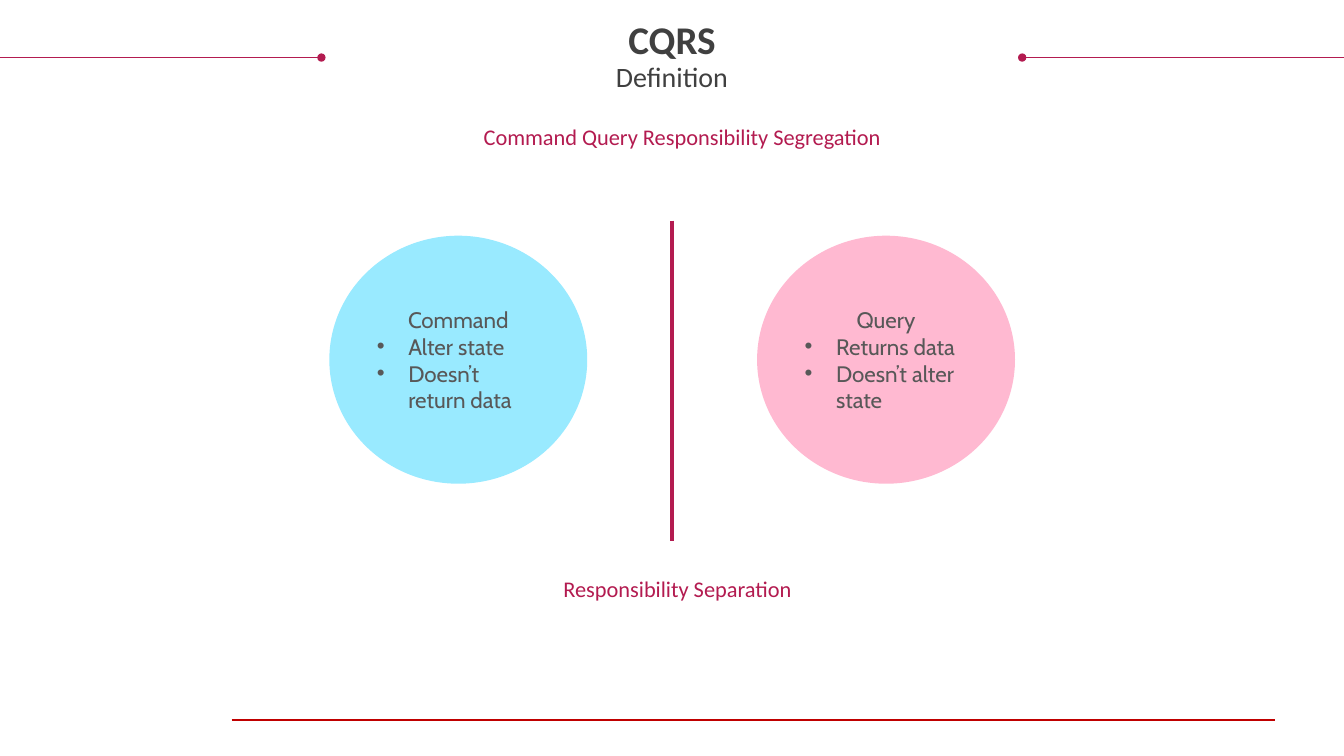
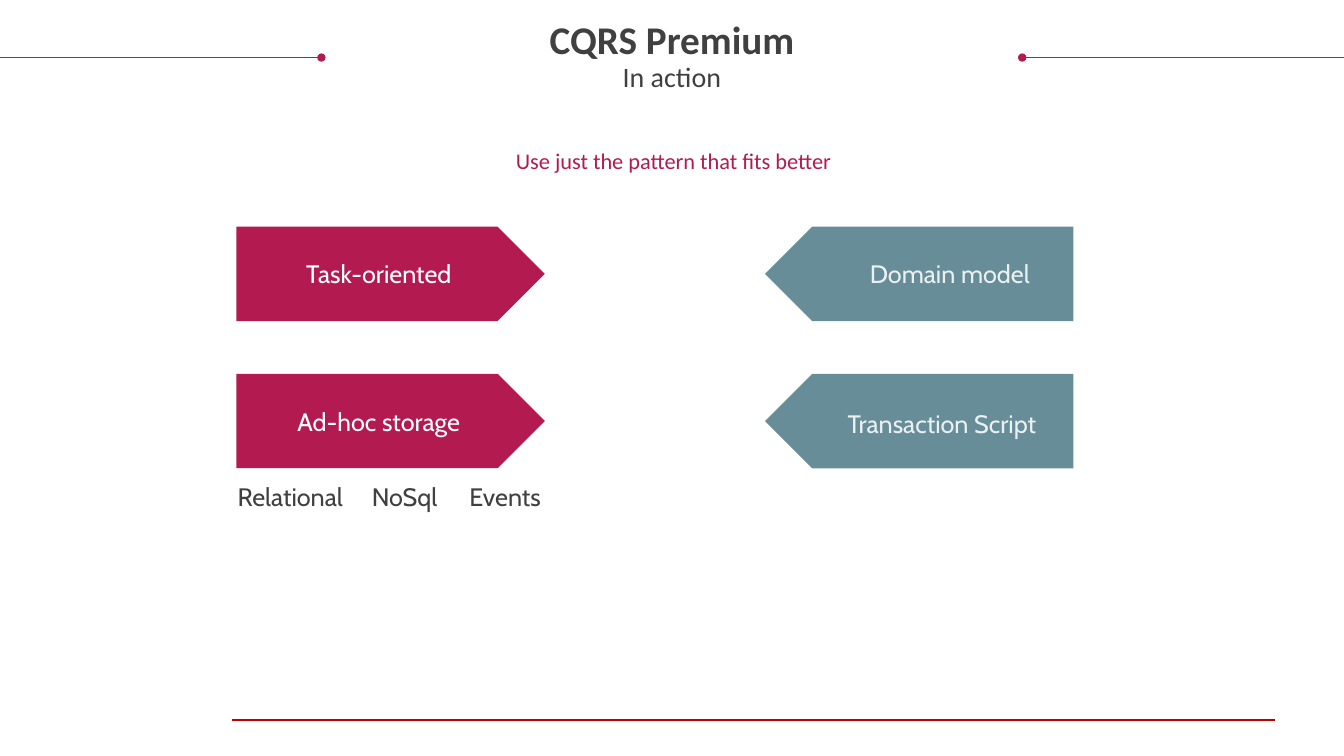
from pptx import Presentation
from pptx.dml.color import RGBColor
from pptx.enum import shapes, text
from pptx.oxml import ns
from pptx.util import Cm, Pt
from lxml import etree

CRIMSON, RED, TEAL = "B31B50", "C00000", "678D98"
CHARCOAL, GREY, WHITE, MIST = "404040", "585858", "FFFFFF", "EBF0F1"
HEADING = {"name": "Calibri", "size": Pt(28), "bold": True, "color": CHARCOAL}
SUBHEADING = {**HEADING, "size": Pt(20), "bold": False}
CAPTION = {"name": "Calibri", "size": Pt(16), "color": CRIMSON}
CIRCLE_TEXT = {"name": "Cabin", "size": Pt(16), "color": GREY}
LABEL = {"name": "Cabin", "size": Pt(18), "color": CHARCOAL}
TAG_TEXT = {**LABEL, "color": WHITE}
SIDE_TEXT = {**LABEL, "color": MIST}
SIDES = ("margin_left", "margin_top", "margin_right", "margin_bottom")


def paint(target, hex_code):
    """Give a fill, line or font its solid colour."""
    if hasattr(target, "solid"):
        target.solid()
        target = target.fore_color
    else:
        target = target.color
    target.rgb = RGBColor.from_string(hex_code)


def write(para, words, style):
    """Add one formatted span to a paragraph."""
    span = para.add_run()
    span.text = words
    for key, value in style.items():
        if key == "color":
            paint(span.font, value)
        else:
            setattr(span.font, key, value)


deck = Presentation()
deck.slide_width, deck.slide_height = Cm(33.87), Cm(19.05)

# Shared parts: footer rule, dotted header rules, two-line title
RULES = [
    (5.84, 18.14, 32.13, 18.14, RED, None),
    (0, 1.45, 8.1, 1.45, CRIMSON, "tailEnd"),
    (25.76, 1.45, 33.87, 1.45, CRIMSON, "headEnd"),
]
DIVIDER = (16.94, 5.56, 16.94, 13.64, CRIMSON, None)
TITLES = [("CQRS", "Definition"), ("CQRS Premium", "In action")]

pages = []
for number, (title, subtitle) in enumerate(TITLES):
    page = deck.slides.add_slide(deck.slide_layouts[6])
    pages.append(page)

    lines = RULES + [DIVIDER] if number == 0 else RULES
    for x1, y1, x2, y2, color, dot in lines:
        rule = page.shapes.add_connector(
            shapes.MSO_CONNECTOR.STRAIGHT, Cm(x1), Cm(y1), Cm(x2), Cm(y2))
        paint(rule.line, color)
        rule.line.width = Pt(3 if x1 == x2 else 1)
        if dot:
            etree.SubElement(rule.line._get_or_add_ln(), ns.qn("a:" + dot), type="oval")
        etree.SubElement(rule._element.spPr, ns.qn("a:effectLst"))

    box = page.shapes.add_textbox(Cm(0.64), Cm(0.53), Cm(32.59), Cm(1.85))
    frame = box.text_frame
    frame.word_wrap = True
    for side in SIDES:
        setattr(frame, side, 0)
    para = frame.paragraphs[0]
    para.alignment = text.PP_ALIGN.CENTER
    para.line_spacing = 0.9
    write(para, title, HEADING)
    para.add_line_break()
    write(para, subtitle, SUBHEADING)

definition, action = pages

# Captions without margins
CAPTIONS = [
    (definition, 12.19, 3.1, 11.56, "Command Query Responsibility Segregation"),
    (definition, 14.2, 14.5, 6.22, "Responsibility Separation"),
    (action, 13, 3.71, 8.1, "Use just the pattern that fits better"),
]
for page, left, top, width, words in CAPTIONS:
    box = page.shapes.add_textbox(Cm(left), Cm(top), Cm(width), Cm(0.68))
    frame = box.text_frame
    frame.word_wrap = True
    for side in SIDES:
        setattr(frame, side, 0)
    write(frame.paragraphs[0], words, CAPTION)

# Definition: command and query circles
CIRCLES = [
    (8.3, "99EAFF", "Command", ["Alter state", "Doesn’t return data"]),
    (19.08, "FFB9D1", "Query", ["Returns data", "Doesn’t alter state"]),
]
for left, color, name, traits in CIRCLES:
    circle = definition.shapes.add_shape(
        shapes.MSO_SHAPE.OVAL, Cm(left), Cm(5.94), Cm(6.5), Cm(6.25))
    circle.shadow.inherit = False
    paint(circle.fill, color)
    circle.line.fill.background()
    frame = circle.text_frame
    frame.vertical_anchor = text.MSO_ANCHOR.MIDDLE
    para = frame.paragraphs[0]
    para.alignment = text.PP_ALIGN.CENTER
    write(para, name, CIRCLE_TEXT)
    for trait in traits:
        para = frame.add_paragraph()
        para.alignment = text.PP_ALIGN.LEFT
        write(para, trait, CIRCLE_TEXT)
        props = para._p.get_or_add_pPr()
        props.set("marL", str(Cm(0.79)))
        props.set("indent", str(-Cm(0.79)))
        etree.SubElement(props, ns.qn("a:buFont"), typeface="Arial")
        etree.SubElement(props, ns.qn("a:buChar"), char="•")

# In action: two rows of arrow tags facing each other
for row, words in enumerate(["Task-oriented", "Ad-hoc storage"]):
    top = 5.71 + 3.71 * row
    for left, color, turn in [(5.96, CRIMSON, 0), (19.28, TEAL, 180)]:
        tag = action.shapes.add_shape(
            shapes.MSO_SHAPE.PENTAGON, Cm(left), Cm(top), Cm(7.77), Cm(2.38))
        tag.shadow.inherit = False
        tag.rotation = turn
        paint(tag.fill, color)
        tag.line.fill.background()
        if not turn:
            tag.text_frame.vertical_anchor = text.MSO_ANCHOR.MIDDLE
            para = tag.text_frame.paragraphs[0]
            para.alignment = text.PP_ALIGN.CENTER
            write(para, words, TAG_TEXT)

# In action: labels on the teal tags and under the storage tag
LABELS = [
    (21.67, 6.38, 4.6, "Domain model", SIDE_TEXT),
    (21.11, 10.16, 5.72, "Transaction Script", SIDE_TEXT),
    (5.74, 12.01, 3.3, "Relational", LABEL),
    (9.12, 12.01, 2.21, "NoSql", LABEL),
    (11.58, 12.01, 2.36, "Events", LABEL),
]
for left, top, width, words, style in LABELS:
    box = action.shapes.add_textbox(Cm(left), Cm(top), Cm(width), Cm(1.02))
    box.text_frame.word_wrap = False
    box.text_frame.auto_size = text.MSO_AUTO_SIZE.SHAPE_TO_FIT_TEXT
    write(box.text_frame.paragraphs[0], words, style)

deck.save("out.pptx")
